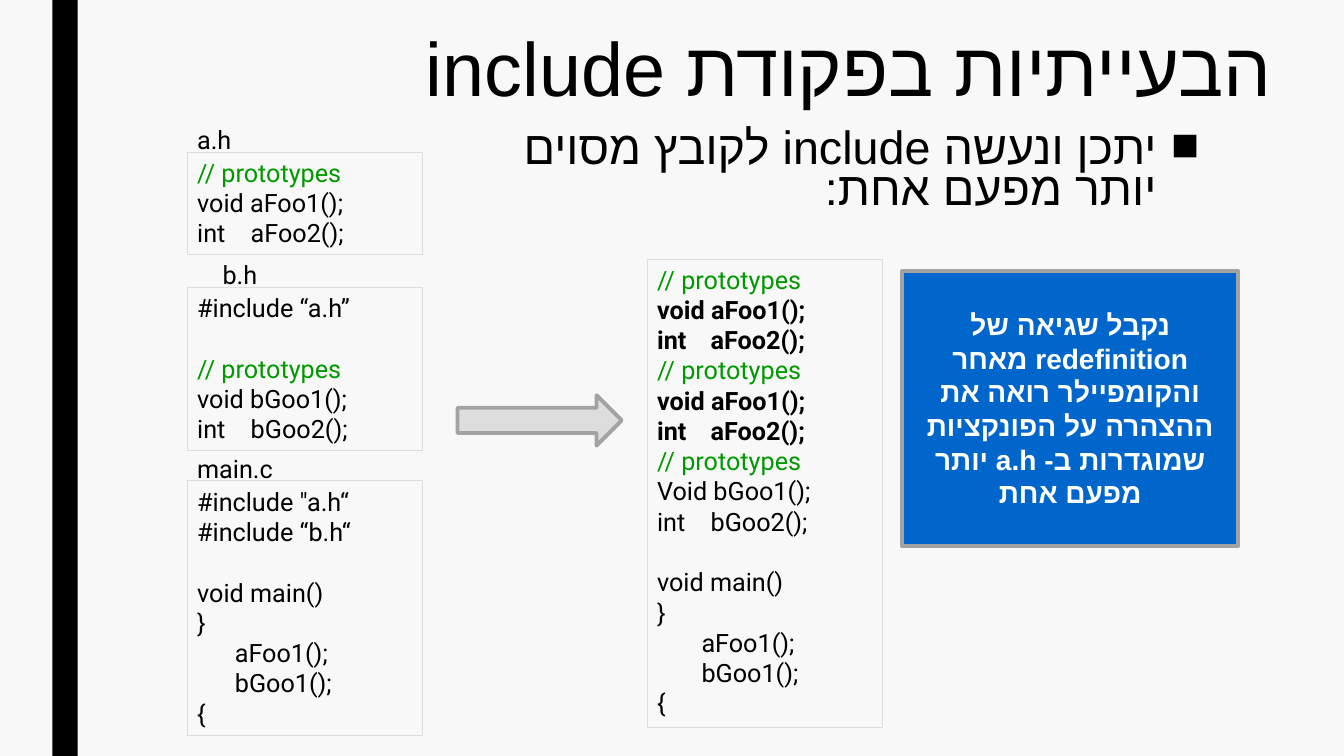
from dataclasses import dataclass

from lxml import etree
from pptx import Presentation
from pptx.dml.color import RGBColor
from pptx.enum.shapes import MSO_SHAPE
from pptx.enum.text import MSO_ANCHOR, MSO_AUTO_SIZE, PP_ALIGN
from pptx.oxml.ns import qn
from pptx.util import Cm, Pt

RECT, ARROW = MSO_SHAPE.RECTANGLE, MSO_SHAPE.RIGHT_ARROW
LEFT, CENTER, RIGHT = PP_ALIGN.LEFT, PP_ALIGN.CENTER, PP_ALIGN.RIGHT
TOP, MIDDLE = MSO_ANCHOR.TOP, MSO_ANCHOR.MIDDLE
NO_FIT = MSO_AUTO_SIZE.NONE


@dataclass(frozen=True)
class Theme:
    """Colours, fonts and type sizes of the slide."""
    paper: str = "F8F8F8"
    ink: str = "000000"
    comment: str = "009900"
    frame: str = "DDDDDD"
    border: str = "A3A3A3"
    callout: str = "0066CC"
    light: str = "FFFFFF"
    text_font: str = "Arial"
    code_font: str = "Roboto"
    title_size: float = 54
    body_size: float = 33.3
    callout_size: float = 20
    code_size: float = 18


T = Theme()
LINE_H = 0.77
CODE_W = 5.92
TAB_STOP = 1.35

PROTO = "// prototypes"
A_PROTOS = ["void aFoo1();", "int\taFoo2();"]
MAIN = ["", "void main()", "}", "\taFoo1();", "\tbGoo1();", "{"]
FILES = [
    ("a.h", 3.84, 0, [PROTO] + A_PROTOS),
    ("b.h", 7.24, 0.64,
     ["#include “a.h”", "", PROTO, "void bGoo1();", "int\tbGoo2();"]),
    ("main.c", 12.12, 0, ['#include "a.h“', "#include “b.h“"] + MAIN),
]
EXPANDED = ([PROTO] + A_PROTOS) * 2 + [PROTO, "Void bGoo1();", "int\tbGoo2();"] + MAIN


def rgb(color):
    """Turn a theme colour into an RGBColor."""
    return RGBColor.from_string(color)


def style(p, size, color, font, bold=False):
    """Format the runs of a paragraph."""
    for r in p.runs:
        f = r.font
        f.size, f.name, f.bold = Pt(size), font, bold
        f.color.rgb = rgb(color)
        etree.SubElement(r._r.get_or_add_rPr(), qn("a:cs"), typeface=font)


def set_rtl(p, align):
    """Make a paragraph run from right to left."""
    p.alignment = align
    p._p.get_or_add_pPr().set("rtl", "1")


def add_block(s, kind, x, y, w, h, fill=None, line=None, width=0.75):
    """Add a flat preset shape with optional fill and outline."""
    sp = s.shapes.add_shape(kind, Cm(x), Cm(y), Cm(w), Cm(h))
    sp.shadow.inherit = False
    if fill:
        sp.fill.solid()
        sp.fill.fore_color.rgb = rgb(fill)
    else:
        sp.fill.background()
    if line:
        sp.line.color.rgb = rgb(line)
        sp.line.width = Pt(width)
    else:
        sp.line.fill.background()
    return sp


def fill_placeholder(sp, text, size, spacing, x, y, w, h):
    """Move a placeholder and give it one right-to-left paragraph."""
    sp.left, sp.top, sp.width, sp.height = Cm(x), Cm(y), Cm(w), Cm(h)
    tf = sp.text_frame
    tf.text = text
    tf.auto_size = NO_FIT
    p = tf.paragraphs[0]
    set_rtl(p, RIGHT)
    p.line_spacing = spacing
    style(p, size, T.ink, T.text_font)
    return p


def add_heading(s):
    """Fill the title and the bulleted statement below it."""
    fill_placeholder(s.shapes.title, "הבעייתיות בפקודת include",
                     T.title_size, 0.89, 3.81, 0.38, 28.5, 2.87)
    p = fill_placeholder(s.placeholders[1],
                         "יתכן ונעשה include לקובץ מסוים יותר מפעם אחת:",
                         T.body_size, 0.74, 11.05, 3.18, 19.43, 2.34)
    p.space_before, p.space_after = Pt(10), Pt(2)
    pPr = p._p.get_or_add_pPr()
    pPr.set("marL", str(Cm(1.07)))
    pPr.set("indent", str(-Cm(1.07)))
    etree.SubElement(pPr, qn("a:buFont"), typeface=T.text_font)
    etree.SubElement(pPr, qn("a:buChar"), char="■")


def add_code(s, lines, x, y, indent, bold=()):
    """Draw a framed listing as tall as its lines."""
    sp = add_block(s, RECT, x, y, CODE_W, len(lines) * LINE_H + 0.26, line=T.frame)
    tf = sp.text_frame
    tf.word_wrap = True
    tf.vertical_anchor = TOP
    tf.text = "\n".join(line.strip() for line in lines if line)
    paragraphs = iter(tf.paragraphs)
    for before, line in zip([None] + lines, lines):
        if not line:
            continue
        p = next(paragraphs)
        p.alignment = LEFT
        if before == "":
            p.space_before = Cm(LINE_H)
        pPr = p._p.get_or_add_pPr()
        if line.startswith("\t"):
            pPr.set("marL", str(Cm(indent)))
        elif "\t" in line:
            tabs = etree.SubElement(pPr, qn("a:tabLst"))
            etree.SubElement(tabs, qn("a:tab"), pos=str(Cm(TAB_STOP)), algn="l")
        color = T.comment if line.startswith("//") else T.ink
        style(p, T.code_size, color, T.code_font, line in bold)


def add_files(s, x):
    """Stack the source files, each with its name above."""
    for name, y, shift, lines in FILES:
        tb = s.shapes.add_textbox(Cm(x + shift), Cm(y - 0.83), Cm(4.01), Cm(1.02))
        tf = tb.text_frame
        tf.word_wrap = True
        tf.text = name
        style(tf.paragraphs[0], T.code_size, T.ink, T.code_font)
        add_code(s, lines, x, y, 0.95)


def add_callout(s, x, y, w, h):
    """Explain the compiler error in a filled box."""
    sp = add_block(s, RECT, x, y, w, h, T.callout, T.border, 2.75)
    tf = sp.text_frame
    tf.word_wrap = True
    tf.vertical_anchor = MIDDLE
    tf.text = ("נקבל שגיאה של redefinition מאחר והקומפיילר רואה את ההצהרה "
               "על הפונקציות שמוגדרות ב- a.h יותר מפעם אחת")
    p = tf.paragraphs[0]
    set_rtl(p, CENTER)
    style(p, T.callout_size, T.light, T.text_font, True)


def build_slide(prs):
    """Lay out the include problem slide."""
    s = prs.slides.add_slide(prs.slide_layouts[1])
    s.background.fill.solid()
    s.background.fill.fore_color.rgb = rgb(T.paper)
    add_block(s, RECT, 1.32, 0, 0.64, 19.05, T.ink)
    add_heading(s)
    add_files(s, 4.72)
    add_block(s, ARROW, 11.53, 9.96, 4.14, 1.27, T.frame, T.border, 2.75)
    add_code(s, EXPANDED, 16.31, 6.53, 1.12, A_PROTOS)
    add_callout(s, 22.73, 6.83, 8.48, 6.93)


def main():
    """Create the presentation and save it."""
    prs = Presentation()
    prs.slide_width, prs.slide_height = Cm(33.87), Cm(19.05)
    build_slide(prs)
    prs.save("out.pptx")


if __name__ == "__main__":
    main()
